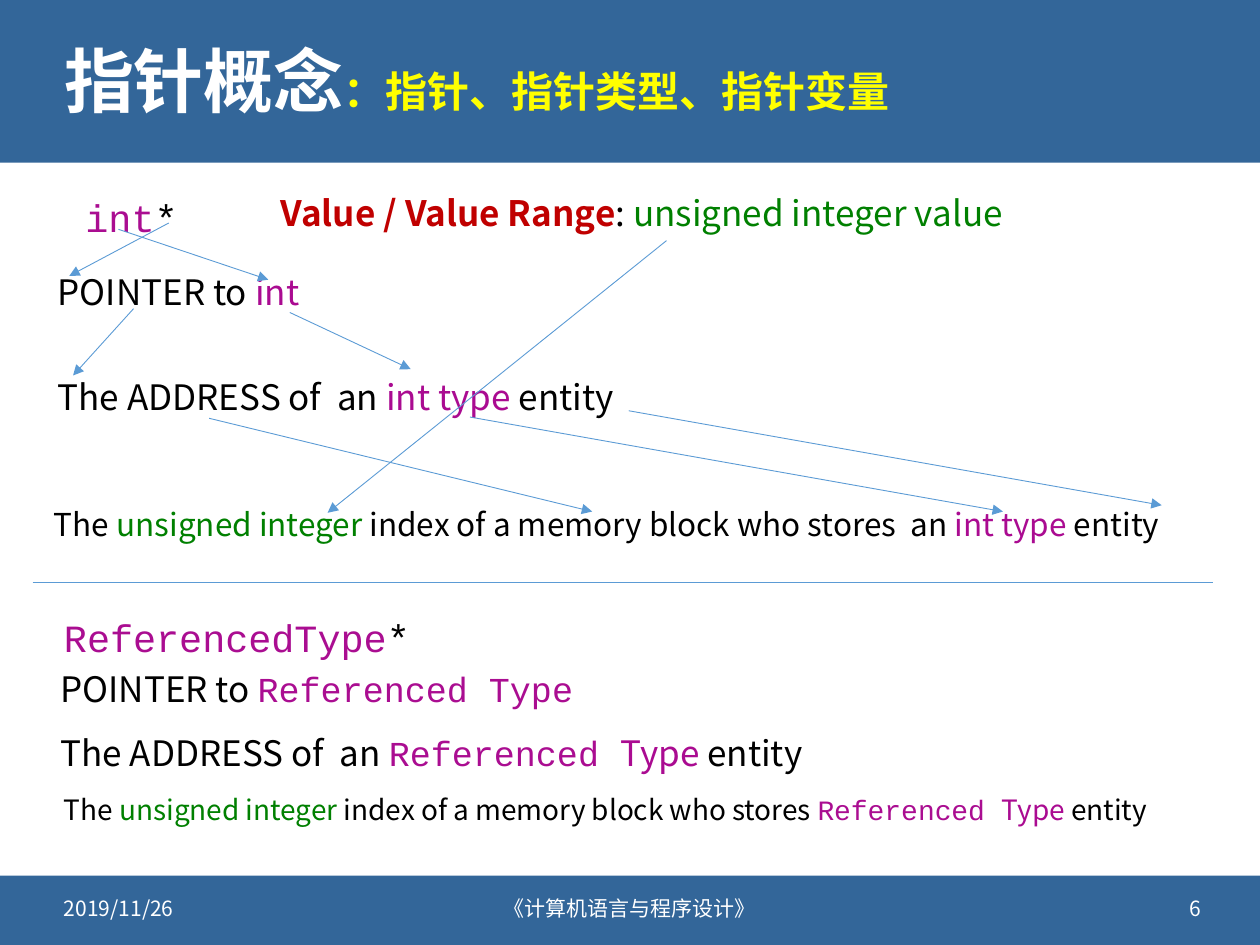
from lxml import etree
from pptx import Presentation
from pptx.dml.color import RGBColor
from pptx.enum.shapes import MSO_CONNECTOR, MSO_SHAPE
from pptx.enum.text import MSO_ANCHOR, MSO_AUTO_SIZE, PP_ALIGN
from pptx.oxml.ns import qn
from pptx.util import Inches, Pt

SANS, MONO = "Noto Sans CJK SC", "Courier New"
BAND, LINE = "336699", "5B9BD5"
BLACK, WHITE, YELLOW = "000000", "FFFFFF", "FFFF00"
RED, GREEN, PURPLE, VIOLET = "C00000", "008000", "AA0B91", "AA0D91"

# Each run: text, colour, then optional font settings
ADDRESS = ("The ADDRESS of  an ", BLACK)
POINTER = ("POINTER to ", BLACK)
THE, UNSIGNED = ("The ", BLACK), ("unsigned integer ", GREEN)
INT_TYPE, ENTITY = ("int type ", PURPLE), ("entity", BLACK)
REFERENCED = [("Referenced ", VIOLET, {"name": MONO}), ("Type ", PURPLE)]

# Each line: box, font size, runs
STATEMENTS = [
    ((2.13, 1.47, 6.31, 0.44), 20, [("Value / Value Range", RED, {"bold": True}),
                                    (": ", BLACK), ("unsigned integer value", GREEN)]),
    ((0.36, 2.1, 2.21, 0.44), 20, [POINTER, ("int", PURPLE)]),
    ((0.36, 2.93, 4.87, 0.44), 20, [ADDRESS, INT_TYPE, ENTITY]),
    ((0.33, 3.96, 9.67, 0.4), 18,
     [THE, UNSIGNED, ("index of a memory block who stores  an ", BLACK), INT_TYPE, ENTITY]),
    ((0.38, 5.25, 4.38, 0.44), 20, [POINTER, ("Referenced Type", VIOLET, {"name": MONO})]),
    ((0.38, 5.76, 6.2, 0.44), 20, [ADDRESS, *REFERENCED, ENTITY]),
    ((0.41, 6.24, 9.13, 0.37), 16,
     [THE, UNSIGNED, ("index of a memory block who stores ", BLACK), *REFERENCED, ENTITY]),
]

DECLARATIONS = [
    ((0.58, 1.45, 1.08, 0.48), "int"),
    ((0.41, 4.79, 3.93, 0.48), "ReferencedType"),
]

FOOTERS = [
    ((0.41, 7.01, 2.4, 0.4), "2019/11/26", PP_ALIGN.LEFT),
    ((3.2, 7.01, 3.6, 0.4), "《计算机语言与程序设计》", PP_ALIGN.CENTER),
    ((7.23, 7.01, 2.4, 0.4), "6", PP_ALIGN.RIGHT),
]

ARROWS = [
    ((5.29, 1.91), (2.6, 4.07)),
    ((1.34, 1.77), (0.55, 2.19)),
    ((0.94, 1.82), (2.13, 2.22)),
    ((2.3, 2.48), (3.26, 2.93)),
    ((1.06, 2.45), (0.58, 2.98)),
    ((3.73, 3.31), (7.96, 4.06)),
    ((4.99, 3.26), (9.22, 4.01)),
    ((1.66, 3.32), (4.7, 4.06)),
]


def color(hex_value):
    return RGBColor.from_string(hex_value)


def add_band(slide, top, height):
    s = slide.shapes.add_shape(MSO_SHAPE.RECTANGLE, 0, Inches(top), Inches(10), Inches(height))
    s.shadow.inherit = False
    s.fill.solid()
    s.fill.fore_color.rgb = color(BAND)
    s.line.fill.background()


def add_line(slide, start, end, arrow=False):
    s = slide.shapes.add_connector(MSO_CONNECTOR.STRAIGHT, *map(Inches, start + end))
    s.line.color.rgb = color(LINE)
    s.line.width = Pt(0.5)
    sp_pr = s._element.spPr
    if arrow:
        etree.SubElement(sp_pr.find(qn("a:ln")), qn("a:tailEnd"), type="triangle")
    etree.SubElement(sp_pr, qn("a:effectLst"))


def add_run(p, text, hex_value, **font):
    r = p.add_run()
    r.text = text
    r.font.color.rgb = color(hex_value)
    for key, value in font.items():
        setattr(r.font, key, value)
    # Chinese glyphs take their typeface from a:ea
    etree.SubElement(r._r.get_or_add_rPr(), qn("a:ea"), typeface=font["name"])


def add_text(slide, box, size, runs, frame=None, paragraph=None):
    tf = slide.shapes.add_textbox(*map(Inches, box)).text_frame
    p = tf.paragraphs[0]
    for target, settings in ((tf, frame), (p, paragraph)):
        for key, value in (settings or {}).items():
            setattr(target, key, value)
    for text, hex_value, *extra in runs:
        font = {"name": SANS, "size": Pt(size), "bold": False}
        for settings in extra:
            font.update(settings)
        add_run(p, text, hex_value, **font)


def main():
    prs = Presentation()
    prs.slide_width, prs.slide_height = Inches(10), Inches(7.5)
    slide = prs.slides.add_slide(prs.slide_layouts[6])

    add_band(slide, 0, 1.29)
    add_band(slide, 6.95, 0.55)

    middle = {"word_wrap": True, "vertical_anchor": MSO_ANCHOR.MIDDLE}
    title = [("指针概念", WHITE, {"bold": True}),
             ("：指针、指针类型、指针变量", YELLOW, {"bold": True, "size": Pt(24)})]
    add_text(slide, (0.41, 0.18, 9.19, 0.99), 40, title, middle, {"line_spacing": 0.9})
    for box, text, alignment in FOOTERS:
        add_text(slide, box, 12, [(text, WHITE)], middle, {"alignment": alignment})

    grow = {"auto_size": MSO_AUTO_SIZE.SHAPE_TO_FIT_TEXT}
    for box, type_name in DECLARATIONS:
        runs = [(text, c, {"name": MONO}) for text, c in ((type_name, VIOLET), ("*", BLACK))]
        add_text(slide, box, 22, runs, {"word_wrap": True, **grow},
                 {"line_spacing": 1.1, "space_before": Pt(10)})
    for box, size, runs in STATEMENTS:
        add_text(slide, box, size, runs, {"word_wrap": False, **grow})

    for start, end in ARROWS:
        add_line(slide, start, end, arrow=True)
    add_line(slide, (0.26, 4.62), (9.63, 4.62))

    prs.save("out.pptx")


if __name__ == "__main__":
    main()
